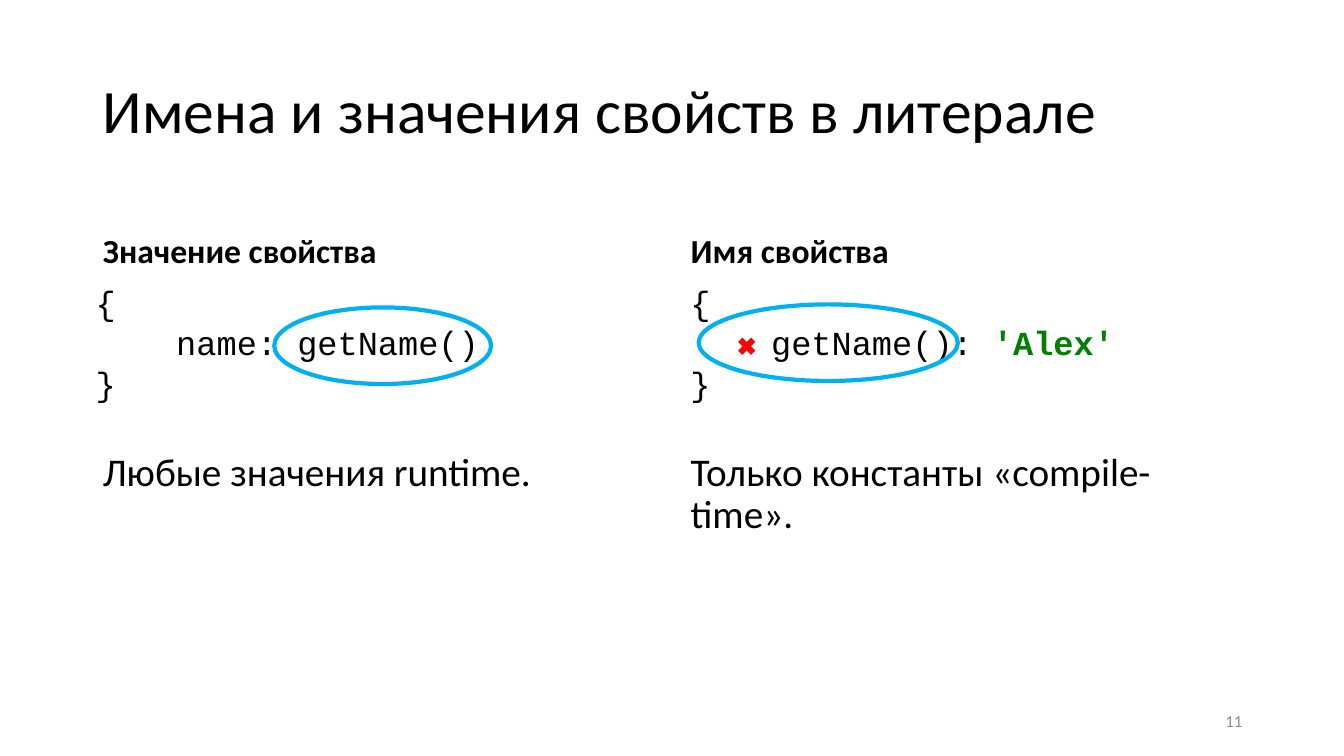
import pptx
import pptx.util
import pptx.dml.color
import pptx.enum.shapes
import pptx.enum.text
from dataclasses import dataclass

Inches = pptx.util.Inches
Pt = pptx.util.Pt
Shape = pptx.enum.shapes.MSO_SHAPE
Align = pptx.enum.text.PP_ALIGN
Anchor = pptx.enum.text.MSO_ANCHOR


@dataclass(frozen=True)
class Theme:
    font: str = "Calibri"
    mono: str = "Courier New"
    ink: str = "000000"
    paper: str = "FFFFFF"
    ring: str = "00B0F0"
    error: str = "FF0000"
    string: str = "008000"
    muted: str = "8C8C8C"
    title: int = 44
    body: int = 28
    head: int = 24
    code: int = 24
    mark: int = 18
    small: int = 12


def color(code):
    return pptx.dml.color.RGBColor.from_string(code)


def place(shape, box):
    shape.left, shape.top, shape.width, shape.height = map(Inches, box)


class Page:
    def __init__(self, deck, theme):
        self.theme = theme
        self.slide = deck.slides.add_slide(deck.slide_layouts[4])

    def style(self, para, size, ink=None, font=None, bold=False, align=Align.LEFT):
        para.alignment = align
        para.font.name = font or self.theme.font
        para.font.size = Pt(size)
        para.font.bold = bold
        para.font.color.rgb = color(ink or self.theme.ink)

    def fill(self, idx, box, text, size, anchor, bold=False, gap=0, inset=0.05):
        """Put unbulleted text into the placeholder with this index."""
        shape = self.slide.placeholders[idx]
        place(shape, box)
        frame = shape.text_frame
        frame.text = text
        frame.auto_size = pptx.enum.text.MSO_AUTO_SIZE.NONE
        frame.vertical_anchor = anchor
        frame.margin_top = Inches(inset)
        para = frame.paragraphs[0]
        self.style(para, size, bold=bold)
        para.line_spacing = 0.9
        para.space_before = Pt(gap)
        props = para._p.get_or_add_pPr()
        props.set("marL", "0")
        props.set("indent", "0")
        bullet = pptx.oxml.parse_xml(
            f'<a:buNone {pptx.oxml.ns.nsdecls("a")}/>')
        props.append(bullet)

    def code(self, box, lines):
        """Draw code; each line is an indent and a list of (text, colour)."""
        shape = self.slide.shapes.add_shape(Shape.RECTANGLE, *map(Inches, box))
        shape.shadow.inherit = False
        shape.fill.solid()
        shape.fill.fore_color.rgb = color(self.theme.paper)
        shape.line.fill.background()
        frame = shape.text_frame
        frame.word_wrap = True
        frame.margin_right = 0
        frame.vertical_anchor = Anchor.MIDDLE
        for num, (indent, parts) in enumerate(lines):
            para = frame.add_paragraph() if num else frame.paragraphs[0]
            self.style(para, self.theme.code, font=self.theme.mono)
            para._p.get_or_add_pPr().set("marL", str(Inches(indent)))
            for text, ink in parts:
                run = para.add_run()
                run.text = text
                if ink != self.theme.ink:
                    run.font.color.rgb = color(ink)
                    run.font.bold = True

    def label(self, box, text, size, ink, align=Align.LEFT, anchor=Anchor.TOP):
        frame = self.slide.shapes.add_textbox(*map(Inches, box)).text_frame
        frame.word_wrap = True
        frame.vertical_anchor = anchor
        frame.text = text
        self.style(frame.paragraphs[0], size, ink, align=align)

    def ring(self, box):
        shape = self.slide.shapes.add_shape(Shape.OVAL, *map(Inches, box))
        shape.shadow.inherit = False
        shape.fill.background()
        shape.line.color.rgb = color(self.theme.ring)
        shape.line.width = Pt(3)


def main():
    deck = pptx.Presentation()
    deck.slide_width, deck.slide_height = Inches(13.33), Inches(7.5)
    theme = Theme()
    page = Page(deck, theme)
    page.fill(0, (0.92, 0.4, 11.5, 1.45), "Имена и значения свойств в литерале",
              theme.title, Anchor.MIDDLE)

    columns = [
        (1, 0.92, 5.64, "Значение свойства", "Любые значения runtime."),
        (3, 6.75, 5.67, "Имя свойства", "Только константы «compile-time»."),
    ]
    for idx, left, width, head, note in columns:
        page.fill(idx, (left, 1.84, width, 0.9), head, theme.head,
                  Anchor.BOTTOM, bold=True, gap=10)
        # The note starts below the code block
        page.fill(idx + 1, (left, 2.74, width, 4.03), note, theme.body,
                  Anchor.TOP, inset=1.75)

    blocks = [
        (0.85, 4.03, [("name: getName()", theme.ink)]),
        (6.75, 4.44, [("getName(): ", theme.ink), ("'Alex'", theme.string)]),
    ]
    for left, width, parts in blocks:
        page.code((left, 2.74, width, 1.31),
                  [(0, [("{", theme.ink)]), (0.8, parts), (0, [("}", theme.ink)])])

    page.label((7.21, 3.23, 0.41, 0.4), "✖", theme.mark, theme.error)
    page.ring((2.72, 3.05, 2.15, 0.76))
    page.ring((6.93, 3.02, 2.57, 0.76))
    page.label((9.42, 6.95, 3, 0.4), "11", theme.small, theme.muted,
               Align.RIGHT, Anchor.MIDDLE)
    deck.save("out.pptx")


if __name__ == "__main__":
    main()
